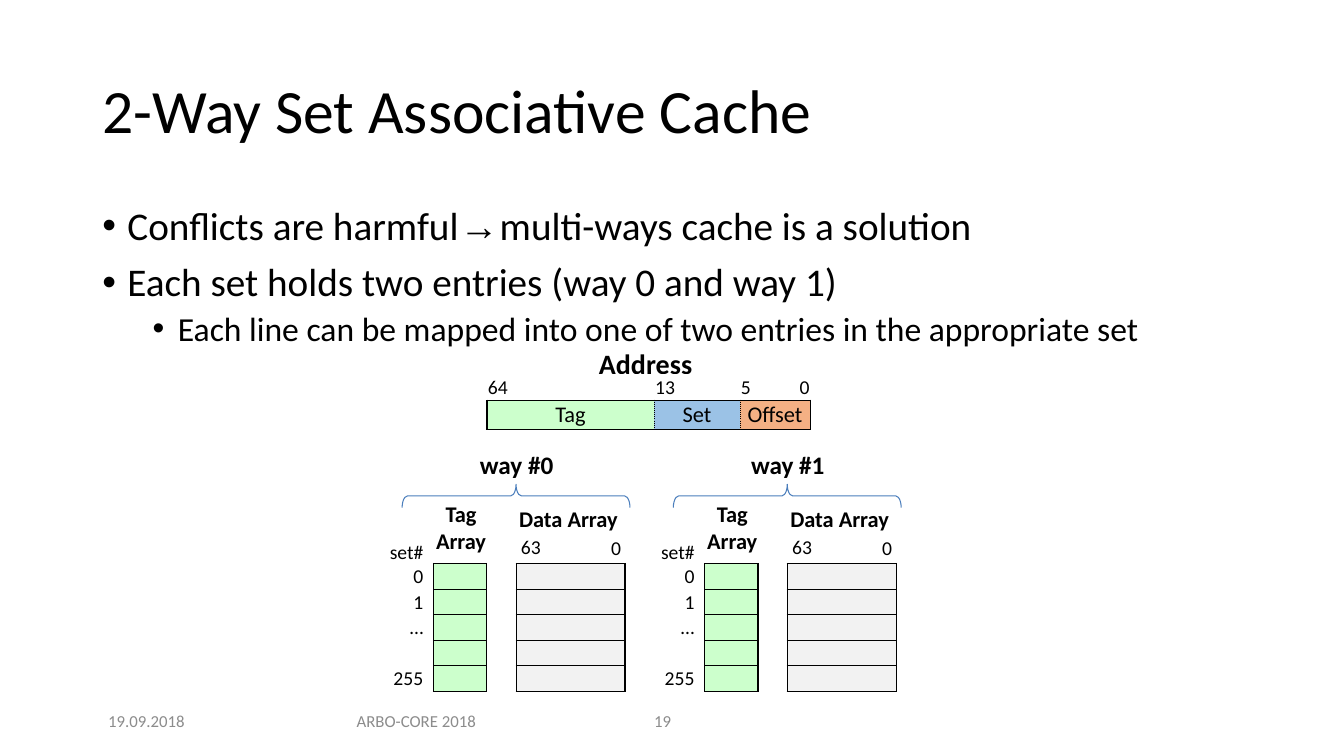
from lxml.etree import SubElement
from pptx import Presentation
from pptx.dml.color import RGBColor
from pptx.enum.shapes import MSO_SHAPE
from pptx.enum.text import MSO_ANCHOR, PP_ALIGN
from pptx.oxml.ns import qn
from pptx.util import Pt

BLACK = RGBColor(0x00, 0x00, 0x00)
WHITE = RGBColor(0xFF, 0xFF, 0xFF)
GRAY = RGBColor(0x8C, 0x8C, 0x8C)
PALE = RGBColor(0xF2, 0xF2, 0xF2)
GREEN = RGBColor(0xCC, 0xFF, 0xCC)
BLUE = RGBColor(0x9B, 0xC2, 0xE6)
ORANGE = RGBColor(0xF4, 0xB0, 0x84)
BRACE = RGBColor(0x4B, 0x7E, 0xBC)
LEFT, MID, RIGHT = PP_ALIGN.LEFT, PP_ALIGN.CENTER, PP_ALIGN.RIGHT

deck = Presentation()
deck.slide_width, deck.slide_height = Pt(960), Pt(540)
slide = deck.slides.add_slide(deck.slide_layouts[6])
shapes = slide.shapes


def write(text, at=None, frame=None, size=14, color=BLACK, bold=False, align=LEFT,
          anchor=MSO_ANCHOR.TOP, wrap=True, line=None, before=0, bullet=None):
    if at:
        frame = shapes.add_textbox(*map(Pt, at)).text_frame
        frame.word_wrap = wrap
        frame.vertical_anchor = anchor
    para = frame.add_paragraph() if frame.text else frame.paragraphs[0]
    para.alignment = align
    para.space_before = Pt(before)
    if line:
        para.line_spacing = line
    if bullet:
        props = para._p.get_or_add_pPr()
        props.set("marL", str(Pt(bullet)))
        props.set("indent", str(Pt(-18)))
        SubElement(props, qn("a:buFont"), typeface="Arial")
        SubElement(props, qn("a:buChar"), char="•")
    for part in filter(None, text.partition("→")):
        run = para.add_run()
        run.text = part
        run.font.name = "Courier New" if part == "→" else "Calibri"
        run.font.size = Pt(size)
        run.font.bold = bold
        run.font.color.rgb = color
    if not text:
        SubElement(para._p, qn("a:endParaRPr"), sz=str(size * 100))
    return frame


def style(cell, text, fill, edges, size=14, align=LEFT, anchor=MSO_ANCHOR.MIDDLE, right=0.7):
    cell.margin_left = cell.margin_top = Pt(0.7)
    cell.margin_right, cell.margin_bottom = Pt(right), Pt(0)
    cell.vertical_anchor = anchor
    props = cell._tc.get_or_add_tcPr()
    for side in "LRTB":
        width, dash = edges.get(side, (0, "solid"))
        edge = SubElement(props, qn("a:ln" + side), w=str(Pt(width)))
        if width:
            paint = SubElement(edge, qn("a:solidFill"))
            SubElement(paint, qn("a:srgbClr"), val=str(BLACK))
            SubElement(edge, qn("a:prstDash"), val=dash)
        else:
            SubElement(edge, qn("a:noFill"))
    cell.fill.solid()
    cell.fill.fore_color.rgb = fill
    write(text, frame=cell.text_frame, size=size, align=align)


write("2-Way Set Associative Cache", at=(66, 28.8, 828, 104.4), size=44,
      anchor=MSO_ANCHOR.MIDDLE, line=0.9)
body = write("Conflicts are harmful → multi-ways cache is a solution",
             at=(66, 144, 828, 325.4), size=28, line=0.9, before=10, bullet=18)
write("Each set holds two entries (way 0 and way 1)", frame=body, size=28,
      line=0.9, before=10, bullet=18)
write("Each line can be mapped into one of two entries in the appropriate set",
      frame=body, size=24, line=0.9, before=5, bullet=54)

write("Address", at=(389.5, 244.1, 143.3, 31.7), size=20, bold=True, align=MID)

SOLID, HALF, DOT = (1, "solid"), (0.5, "solid"), (0.5, "sysDot")
bits = shapes.add_table(2, 5, Pt(347.8), Pt(267.1), Pt(231.1), Pt(39.6)).table
bits.first_row = bits.horz_banding = False
for col, width in zip(bits.columns, (119.5, 24.5, 36.7, 25.2, 25.2)):
    col.width = Pt(width)
for row, height in zip(bits.rows, (18.7, 20.9)):
    row.height = Pt(height)
for col, text in enumerate(("64", "13", "", "5", "0")):
    style(bits.cell(0, col), text, WHITE, {"B": SOLID}, align=RIGHT if col == 4 else LEFT)
for first, last, text, fill, left, right in (
        (0, 0, "Tag", GREEN, SOLID, DOT),
        (1, 2, "Set", BLUE, DOT, DOT),
        (3, 4, "Offset", ORANGE, DOT, SOLID)):
    if last > first:
        bits.cell(1, first).merge(bits.cell(1, last))
    edges = {"L": left, "R": right, "T": SOLID, "B": SOLID}
    style(bits.cell(1, first), text, fill, edges, size=16, align=MID)

for way in range(2):
    dx = 193.7 * way
    sets = shapes.add_table(5, 4, Pt(276.5 + dx), Pt(402.5), Pt(170), Pt(91)).table
    sets.first_row = sets.horz_banding = False
    for col, width in zip(sets.columns, (33.1, 38.2, 20.9, 77.8)):
        col.width = Pt(width)
    for row, label in enumerate(("0", "1", "…", "", "255")):
        sets.rows[row].height = Pt(18.2)
        box = {"L": SOLID, "R": SOLID, "T": HALF if row else SOLID, "B": HALF}
        style(sets.cell(row, 0), label, WHITE, {"R": SOLID}, align=RIGHT,
              anchor=MSO_ANCHOR.BOTTOM, right=7.2)
        style(sets.cell(row, 1), "", GREEN, box)
        style(sets.cell(row, 2), "", WHITE, {"L": SOLID, "R": SOLID})
        style(sets.cell(row, 3), "", PALE, box)

    write("63", at=(365 + dx, 378.7, 28.8, 24.5), wrap=False)
    write("0", at=(429.1 + dx, 379.4, 21.6, 24.5), wrap=False, align=RIGHT)
    write("set#", at=(271.4 + dx, 382.3, 38.9, 24.5), wrap=False)
    write("Tag Array", at=(293 + dx, 353.5, 72.7, 46.1), size=16, bold=True, align=MID)
    write("Data Array", at=(361.4 + dx, 357.1, 89.3, 26.6), size=16, bold=True, align=MID)
    write(f"way #{way}", at=(329.8 + dx, 317.5, 78.5, 28.8), size=18, bold=True, align=MID)

    brace = shapes.add_shape(MSO_SHAPE.LEFT_BRACE, Pt(360.3 + dx), Pt(272.9), Pt(16.6), Pt(162.7))
    brace.rotation = 90
    brace.adjustments[0] = 0.23
    brace.adjustments[1] = 0.5
    brace.shadow.inherit = False
    brace.fill.background()
    brace.line.color.rgb = BRACE
    brace.line.width = Pt(0.75)

for text, left, width, align in (
        ("19.09.2018", 66.2, 77, MID),
        ("ARBO-CORE 2018", 240.5, 113.8, MID),
        ("19", 460.1, 56.9, LEFT)):
    write(text, at=(left, 500.4, width, 28.8), size=12, color=GRAY, align=align,
          anchor=MSO_ANCHOR.MIDDLE)

deck.save("out.pptx")
